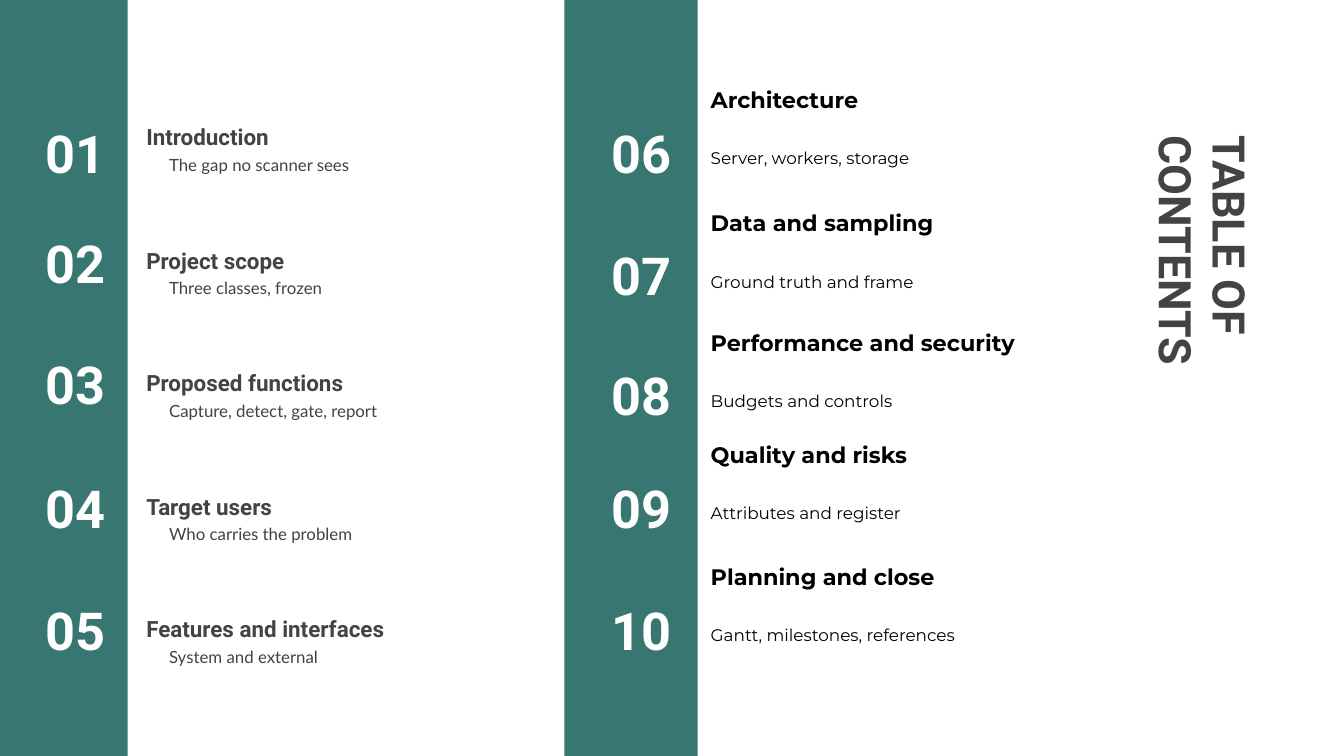
from dataclasses import dataclass

from pptx import Presentation
from pptx.dml.color import RGBColor
from pptx.enum import shapes, text
from pptx.util import Inches, Pt

TEAL, GREY, WHITE, BLACK = "387771", "434343", "FFFFFF", "000000"
SLIDE_WIDTH = 10
SLIDE_HEIGHT = SLIDE_WIDTH * 9 / 16
BAR_WIDTH = 0.99
ROW_HEIGHT = 0.63
DETAIL_DROP = 0.46  # from the top of a heading to the top of its detail


@dataclass(frozen=True)
class Style:
    font: str
    size: float
    color: str
    bold: bool = False
    anchor: text.MSO_ANCHOR = text.MSO_ANCHOR.TOP
    inset: float = 0.1
    first_line: float = 0


@dataclass(frozen=True)
class Entry:
    number: str
    number_top: float
    heading: str
    heading_top: float
    detail: str


@dataclass(frozen=True)
class Column:
    bar_left: float
    number_left: float
    text_left: float
    text_width: float
    text_height: float
    heading: Style
    detail: Style
    entries: tuple[Entry, ...]


TITLE = Style("Roboto", 24, GREY, True, text.MSO_ANCHOR.MIDDLE)
NUMBER = Style("Roboto", 28, WHITE, True, text.MSO_ANCHOR.MIDDLE)

COLUMNS = (
    Column(
        -0.04, 0.24, 0.99, 2.46, ROW_HEIGHT,
        Style("Roboto", 12, GREY, True, text.MSO_ANCHOR.BOTTOM),
        Style("Lato", 9, GREY, first_line=0.17),
        (
            Entry("01", 0.82, "Introduction", 0.59, "The gap no scanner sees"),
            Entry("02", 1.64, "Project scope", 1.51, "Three classes, frozen"),
            Entry("03", 2.54, "Proposed functions", 2.42, "Capture, detect, gate, report"),
            Entry("04", 3.46, "Target users", 3.34, "Who carries the problem"),
            Entry("05", 4.37, "Features and interfaces", 4.25, "System and external"),
        ),
    ),
    Column(
        4.2, 4.45, 5.19, 2.84, 0.47,
        Style("Montserrat", 12, BLACK, True, inset=0.05),
        Style("Montserrat", 9, BLACK, inset=0.05),
        (
            Entry("06", 0.82, "Architecture", 0.59, "Server, workers, storage"),
            Entry("07", 1.73, "Data and sampling", 1.51, "Ground truth and frame"),
            Entry("08", 2.62, "Performance and security", 2.4, "Budgets and controls"),
            Entry("09", 3.46, "Quality and risks", 3.23, "Attributes and register"),
            Entry("10", 4.37, "Planning and close", 4.14, "Gantt, milestones, references"),
        ),
    ),
)


def rgb(color: str) -> RGBColor:
    return RGBColor.from_string(color)


def write(shape, words: str, style: Style) -> None:
    """Fill a text box or placeholder with one styled paragraph."""
    frame = shape.text_frame
    frame.text = words
    frame.word_wrap = True
    frame.auto_size = text.MSO_AUTO_SIZE.NONE
    frame.vertical_anchor = style.anchor
    frame.margin_left = frame.margin_right = Inches(0.1)
    frame.margin_top = frame.margin_bottom = Inches(style.inset)
    paragraph = frame.paragraphs[0]
    paragraph.alignment = text.PP_ALIGN.LEFT
    if style.first_line:
        hanging = Inches(0.5)
        properties = paragraph._p.get_or_add_pPr()
        properties.set("marL", str(hanging))
        properties.set("indent", str(Inches(style.first_line) - hanging))
    font = paragraph.font
    font.name, font.size, font.bold = style.font, Pt(style.size), style.bold
    font.color.rgb = rgb(style.color)


def add_label(slide, left: float, top: float, width: float, height: float,
              words: str, style: Style) -> None:
    box = slide.shapes.add_textbox(Inches(left), Inches(top), Inches(width), Inches(height))
    write(box, words, style)


def add_bar(slide, left: float) -> None:
    bar = slide.shapes.add_shape(shapes.MSO_SHAPE.RECTANGLE, Inches(left), 0,
                                 Inches(BAR_WIDTH), Inches(SLIDE_HEIGHT))
    bar.shadow.inherit = False
    bar.fill.solid()
    bar.fill.fore_color.rgb = rgb(TEAL)
    bar.line.fill.background()


def add_column(slide, column: Column) -> None:
    add_bar(slide, column.bar_left)
    for entry in column.entries:
        add_label(slide, column.number_left, entry.number_top, 0.67, ROW_HEIGHT,
                  entry.number, NUMBER)
        add_label(slide, column.text_left, entry.heading_top, column.text_width,
                  column.text_height, entry.heading, column.heading)
        add_label(slide, column.text_left, entry.heading_top + DETAIL_DROP,
                  column.text_width, column.text_height, entry.detail, column.detail)


def add_title(slide) -> None:
    title = slide.shapes.title
    title.left, title.top = Inches(7.29), Inches(2.18)
    title.width, title.height = Inches(3.33), Inches(0.78)
    title.rotation = 90
    write(title, "TABLE OF CONTENTS", TITLE)


def main() -> None:
    deck = Presentation()
    deck.slide_width, deck.slide_height = Inches(SLIDE_WIDTH), Inches(SLIDE_HEIGHT)
    slide = deck.slides.add_slide(deck.slide_layouts.get_by_name("Title Only"))
    add_title(slide)
    for column in COLUMNS:
        add_column(slide, column)
    deck.save("out.pptx")


if __name__ == "__main__":
    main()
